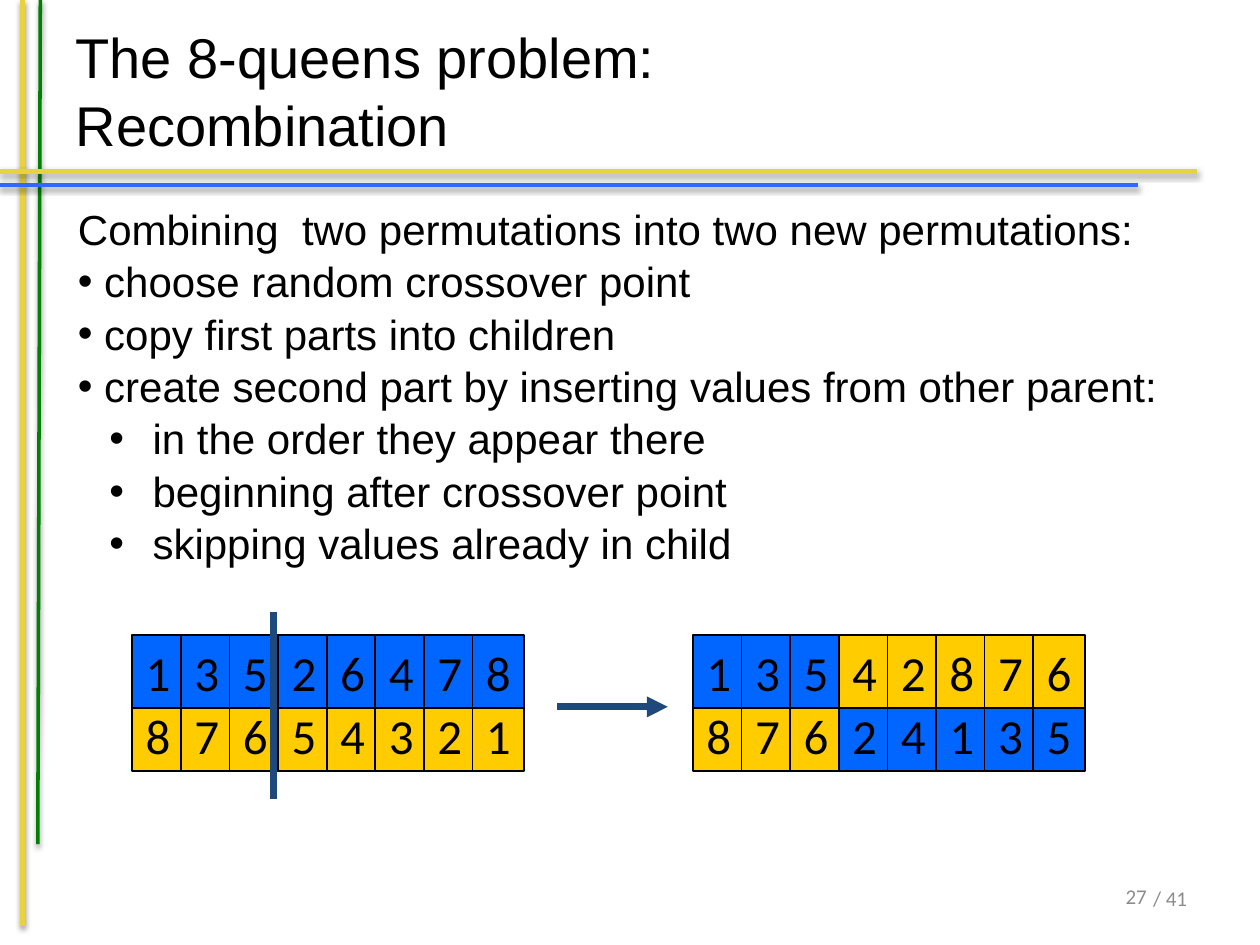
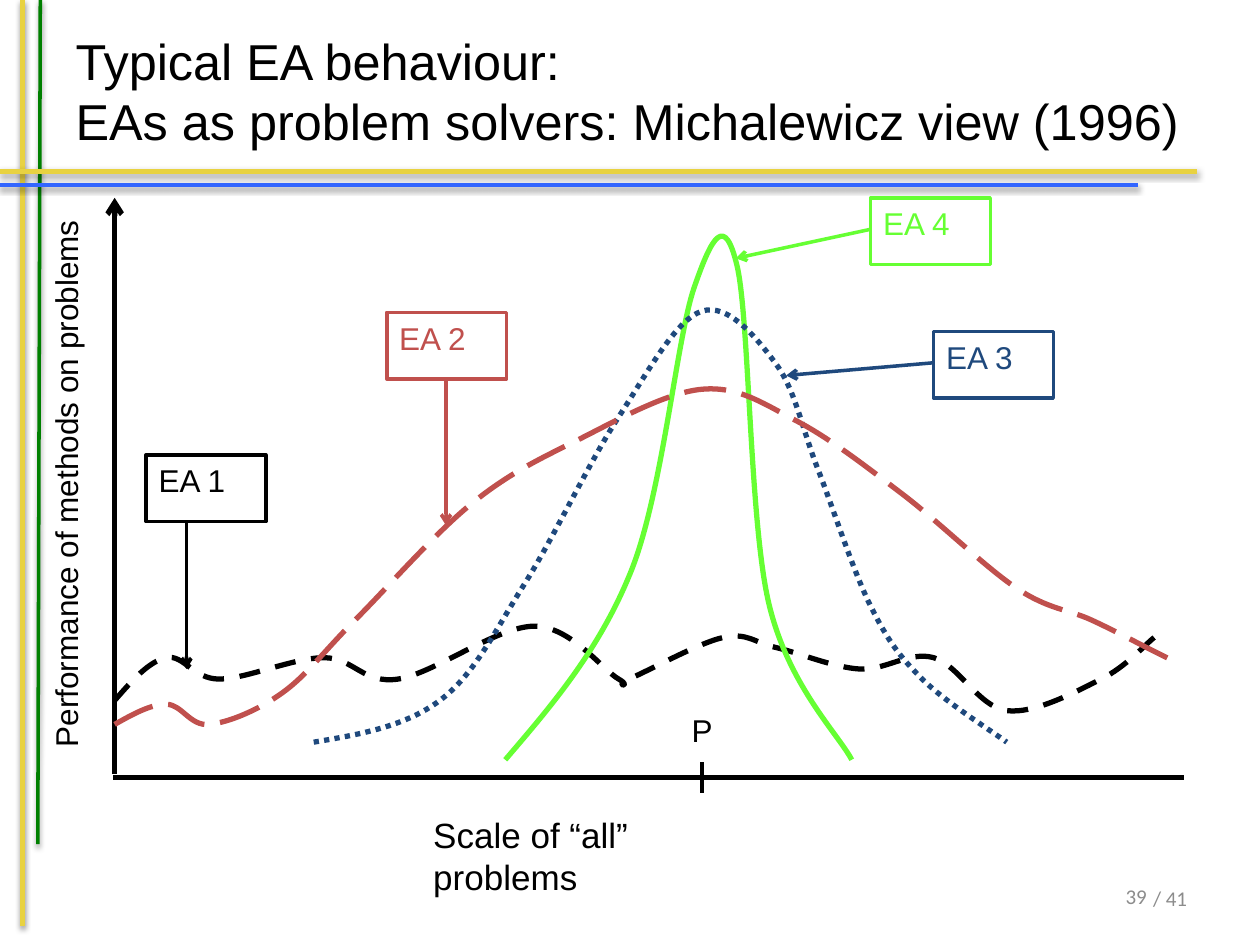
from lxml import etree
from pptx import Presentation
from pptx import util as u
from pptx.dml.color import RGBColor
from pptx.enum import dml, shapes, text
from pptx.oxml.ns import qn

BLACK = RGBColor(0x00, 0x00, 0x00)
GREY = RGBColor(0x8C, 0x8C, 0x8C)
YELLOW = RGBColor(0xE8, 0xD2, 0x41)
GREEN = RGBColor(0x00, 0x80, 0x00)
BLUE = RGBColor(0x33, 0x66, 0xFF)
GOLD_CELL = RGBColor(0xFF, 0xCC, 0x00)
BLUE_CELL = RGBColor(0x00, 0x66, 0xFF)
NAVY = RGBColor(0x1F, 0x49, 0x7D)
RED = RGBColor(0xC0, 0x50, 0x4D)
LIME = RGBColor(0x66, 0xFF, 0x33)

ALIGN = text.PP_ALIGN
ANCHOR = text.MSO_ANCHOR
DASH = dml.MSO_LINE


def lengths(*inches):
    """Turn positions on the 10 x 7.5 inch grid into Cm lengths."""
    return [u.Cm(2.54 * v) for v in inches]


# ---- kinds of element ----

def format_text(tf, size, color=BLACK, font="Arial", align=ALIGN.LEFT):
    for p in tf.paragraphs:
        p.alignment = align
        for r in p.runs:
            r.font.size = u.Pt(size)
            r.font.name = font
            r.font.color.rgb = color


def add_text(s, words, box, size, wrap=True, anchor=ANCHOR.TOP, **style):
    sp = s.shapes.add_textbox(*lengths(*box))
    tf = sp.text_frame
    tf.word_wrap = wrap
    tf.vertical_anchor = anchor
    tf.text = words
    format_text(tf, size, **style)
    return sp


def add_box(s, words, box, size, line, width, fill=None, anchor=ANCHOR.TOP, **style):
    sp = s.shapes.add_shape(shapes.MSO_SHAPE.RECTANGLE, *lengths(*box))
    sp.shadow.inherit = False
    if fill is None:
        sp.fill.background()
    else:
        sp.fill.solid()
        sp.fill.fore_color.rgb = fill
    sp.line.color.rgb = line
    sp.line.width = u.Pt(width)
    tf = sp.text_frame
    tf.vertical_anchor = anchor
    tf.text = words
    format_text(tf, size, **style)


def add_line(s, start, end, color, width, arrow=None, shadow=False):
    cx = s.shapes.add_connector(shapes.MSO_CONNECTOR.STRAIGHT,
                                *lengths(*start, *end))
    cx.line.color.rgb = color
    cx.line.width = u.Pt(width)
    if arrow:
        etree.SubElement(cx.line._get_or_add_ln(), qn("a:tailEnd"), type=arrow)
    effects = etree.SubElement(cx._element.spPr, qn("a:effectLst"))
    if shadow:
        outer = etree.SubElement(effects, qn("a:outerShdw"), blurRad="40000",
                                 dist="20000", dir="5400000", rotWithShape="0")
        clr = etree.SubElement(outer, qn("a:srgbClr"), val="000000")
        etree.SubElement(clr, qn("a:alpha"), val="38000")
    return cx


def bezier_points(knots):
    """Catmull-Rom spline: two controls and an end point per segment."""
    points = []
    last = len(knots) - 1
    for i in range(last):
        a, b = knots[i], knots[i + 1]
        before, after = knots[max(i - 1, 0)], knots[min(i + 2, last)]
        c2 = [b[k] - (after[k] - a[k]) / 6 for k in (0, 1)]
        if i:
            c1 = [a[k] + (b[k] - before[k]) / 6 for k in (0, 1)]
        else:
            c1 = [(a[k] + c2[k]) / 2 for k in (0, 1)]
        points += [c1, c2, b]
    return points


def add_curve(s, knots, color, dash):
    fb = s.shapes.build_freeform(*lengths(*knots[0]))
    fb.add_line_segments([lengths(*pt) for pt in bezier_points(knots)], close=False)
    sp = fb.convert_to_shape()
    # Every three line segments become one cubic segment
    segments = list(sp._element.iter(qn("a:lnTo")))
    for i in range(0, len(segments), 3):
        first = segments[i]
        for other in segments[i + 1:i + 3]:
            first.append(other[0])
            other.getparent().remove(other)
        first.tag = qn("a:cubicBezTo")
    sp.shadow.inherit = False
    sp.fill.background()
    sp.line.color.rgb = color
    sp.line.width = u.Pt(3)
    sp.line.dash_style = dash


def add_bullet(p, left=0, hanging=0):
    pPr = p._p.get_or_add_pPr()
    pPr.set("marL", str(lengths(left)[0]))
    pPr.set("indent", str(-lengths(hanging)[0]))
    etree.SubElement(pPr, qn("a:buFont"), typeface="Arial")
    etree.SubElement(pPr, qn("a:buChar"), char="•")


# ---- shared parts ----

def add_footer(s, words, left, top):
    return add_text(s, words, (left, top, 0.59, 0.55), 12, anchor=ANCHOR.MIDDLE,
                    color=GREY, font="Calibri", align=ALIGN.RIGHT)


def dress_layout(layout, s):
    """Draw the rules and page total, then move them into the layout."""
    parts = [add_line(s, start, end, color, width, shadow=True)
             for start, end, color, width in (
                 ((0.18, 0), (0.18, 7.35), YELLOW, 3),
                 ((0.32, 0), (0.3, 6.7), GREEN, 2),
                 ((0, 1.36), (9.5, 1.36), YELLOW, 3),
                 ((0, 1.47), (9.03, 1.47), BLUE, 2))]
    parts.append(add_footer(s, "/ 41", 8.93, 6.85))
    for part in parts:
        layout.shapes._spTree.append(part._element)


def start_slide(prs, title, size, width, number):
    s = prs.slides.add_slide(prs.slide_layouts[5])
    sp = s.shapes.title
    sp.left, sp.top, sp.width, sp.height = lengths(0.5, 0.09, width, 1.25)
    tf = sp.text_frame
    tf.auto_size = text.MSO_AUTO_SIZE.NONE
    tf.vertical_anchor = ANCHOR.MIDDLE
    tf.text = title
    format_text(tf, size)
    for br in sp._element.iter(qn("a:br")):
        etree.SubElement(br, qn("a:rPr"), sz=str(round(size * 100)))
    add_footer(s, number, 8.61, 6.84)
    return s


# ---- slide contents ----

def add_permutations(s, left, rows, crossover_colors):
    """Two rows of eight genes; colours are (head, tail) for each row."""
    step = 2.7 / 7
    for row in (1, 0):
        head, tail = crossover_colors[row]
        for col, gene in enumerate(rows[row]):
            add_box(s, gene, (left + col * step, 5.04 + row * 0.5, 0.41, 0.58),
                    28, BLACK, 1, fill=head if col < 3 else tail,
                    anchor=ANCHOR.MIDDLE, font="Calibri", align=ALIGN.CENTER)


def fill_recombination(s):
    steps = ["Combining  two permutations into two new permutations:",
             " choose random crossover point",
             " copy first parts into children",
             " create second part by inserting values from other parent:",
             " in the order they appear there",
             " beginning after crossover point",
             " skipping values already in child"]
    sp = add_text(s, "\n".join(steps), (0.52, 1.55, 9.15, 2.93), 24)
    for i, p in enumerate(sp.text_frame.paragraphs):
        p.line_spacing = 1.04
        if i > 3:
            p.level = 1
            add_bullet(p, 0.5, 0.25)
        elif i > 0:
            add_bullet(p)

    # Parents, arrow, children, crossover line
    add_line(s, (4.42, 5.61), (5.3, 5.61), NAVY, 4, "triangle")
    add_permutations(s, 5.5, ("13542876", "87624135"),
                     ((BLUE_CELL, GOLD_CELL), (GOLD_CELL, BLUE_CELL)))
    add_permutations(s, 1.05, ("13526478", "87654321"),
                     ((BLUE_CELL, BLUE_CELL), (GOLD_CELL, GOLD_CELL)))
    add_line(s, (2.17, 4.86), (2.17, 6.34), NAVY, 4)


def fill_behaviour(s):
    # Axes
    sp = add_text(s, "Scale of “all” problems", (3.34, 6.41, 2.96, 0.43), 20)
    sp.text_frame.margin_right = u.Cm(1)
    add_line(s, (0.9, 6.17), (9.4, 6.17), BLACK, 3)
    add_line(s, (5.57, 6.05), (5.57, 6.29), BLACK, 2)
    add_text(s, "P", (5.39, 5.59, 0.42, 0.5), 18, wrap=False)
    add_line(s, (0.91, 6.14), (0.91, 1.57), BLACK, 3, "arrow")
    sp = add_text(s, "Performance of methods on problems",
                  (-1.67, 3.64, 4.38, 0.4), 18, wrap=False)
    sp.rotation = 270

    # Each algorithm: label, colour, dash, label corner, pointer, curve knots
    algorithms = (
        ("EA 1", BLACK, DASH.DASH, (1.16, 3.61), ((1.48, 4.14), (1.48, 5.31)),
         [(0.91, 5.56), (1.32, 5.22), (1.74, 5.39), (2.57, 5.22), (3.16, 5.39),
          (4.24, 4.97), (4.91, 5.39), (4.99, 5.39), (5.74, 5.06), (6.16, 5.14),
          (6.82, 5.31), (7.41, 5.22), (7.99, 5.64), (8.74, 5.39), (9.16, 5.06)]),
        ("EA 4", LIME, DASH.SOLID, (6.91, 1.57), ((6.91, 1.82), (5.84, 2.05)),
         [(4.01, 6.03), (5.01, 4.53), (5.51, 2.28), (5.85, 2.11), (6.1, 4.78),
          (6.76, 6.03)]),
        ("EA 3", NAVY, DASH.ROUND_DOT, (7.41, 2.63), ((7.4, 2.88), (6.24, 2.98)),
         [(2.49, 5.89), (3.49, 5.56), (4.16, 4.64), (4.91, 3.31), (5.57, 2.47),
          (6.16, 2.89), (6.49, 3.72), (6.91, 4.81), (7.32, 5.39), (7.99, 5.89)]),
        ("EA 2", RED, DASH.LONG_DASH, (3.07, 2.48), ((3.54, 3), (3.54, 4.17)),
         [(0.91, 5.75), (1.32, 5.59), (1.66, 5.75), (2.24, 5.5), (2.82, 4.92),
          (3.74, 4), (4.57, 3.5), (5.57, 3.09), (6.32, 3.34), (7.16, 3.92),
          (8.07, 4.67), (8.66, 4.92), (9.16, 5.17), (9.32, 5.25)]))
    for label, color, dash, corner, pointer, knots in algorithms:
        add_curve(s, knots, color, dash)
        add_box(s, label, (*corner, 0.95, 0.53), 18, color, 2, color=color)
        add_line(s, *pointer, color, 2, "arrow")


def main():
    prs = Presentation()
    prs.slide_width, prs.slide_height = lengths(10, 7.5)

    s = start_slide(prs, "The 8-queens problem:\vRecombination", 32, 9, "27")
    dress_layout(prs.slide_layouts[5], s)
    fill_recombination(s)

    s = start_slide(prs, "Typical EA behaviour:\v"
                    "EAs as problem solvers: Michalewicz view (1996)",
                    28.8, 9.36, "39")
    fill_behaviour(s)

    prs.save("out.pptx")


main()
